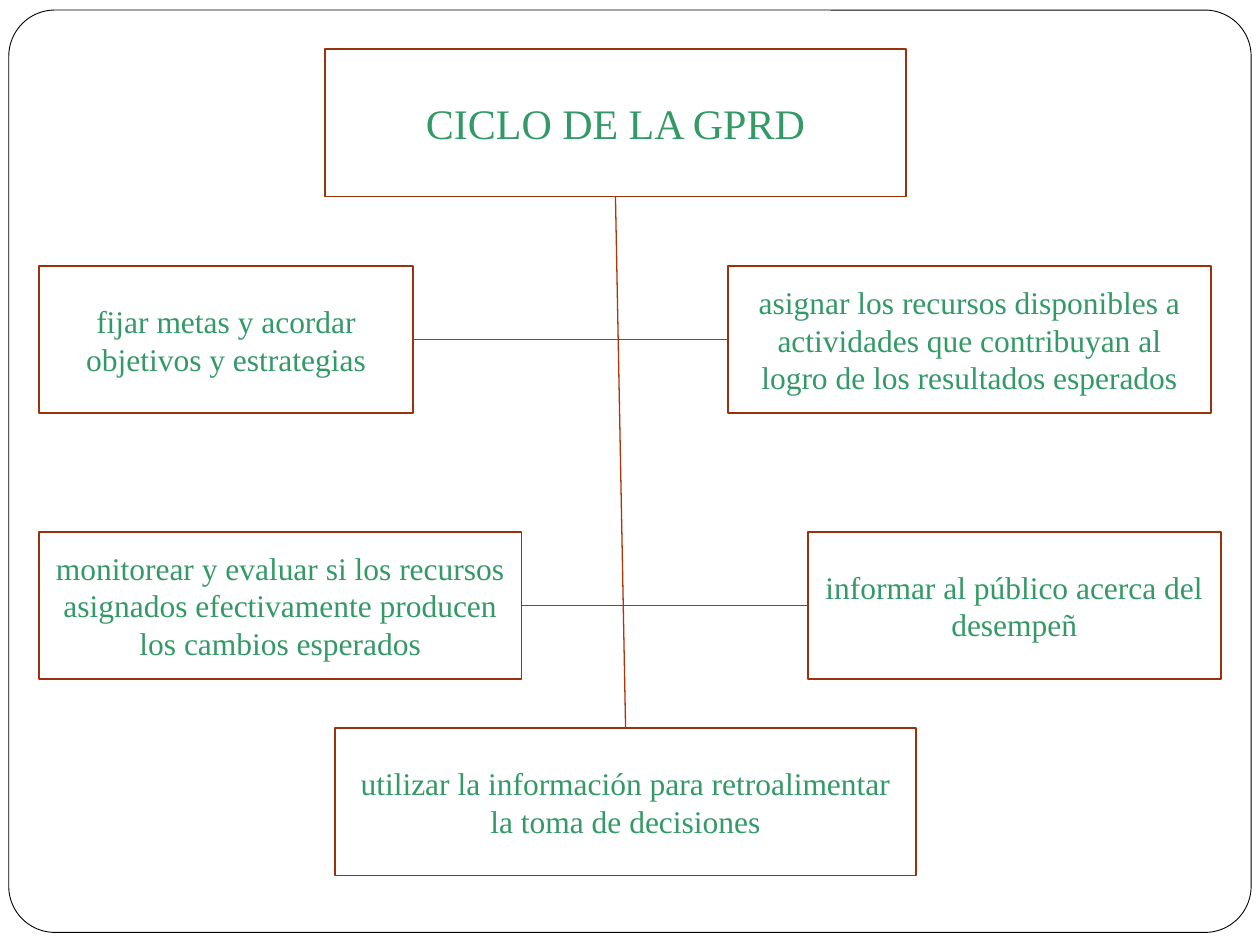
from dataclasses import dataclass

from pptx import Presentation
from pptx.dml.color import RGBColor
from pptx.enum.shapes import MSO_CONNECTOR as Connector, MSO_SHAPE as Shape
from pptx.enum.text import MSO_ANCHOR as Anchor, PP_ALIGN as Align
from pptx.oxml.xmlchemy import OxmlElement
from pptx.util import Pt


@dataclass(frozen=True)
class Theme:
    """Colours, type sizes and line widths of the deck."""
    font: str = "Times New Roman"
    title_size: float = 24
    body_size: float = 18
    text: RGBColor = RGBColor(0x33, 0x99, 0x66)
    paper: RGBColor = RGBColor(0xFF, 0xFF, 0xFF)
    frame: RGBColor = RGBColor(0, 0, 0)
    border: RGBColor = RGBColor(0x9B, 0x32, 0x0E)
    link: RGBColor = RGBColor(0xAF, 0x34, 0x08)
    frame_width: float = 0.5
    border_width: float = 1
    link_width: float = 0.75


THEME = Theme()
STEP_HEIGHT = 84.24
UPPER_OFFSET, LOWER_OFFSET = 123.84, 275.76


def add_frame(page, box):
    """Draw the rounded page frame in the given box."""
    frame = page.shapes.add_shape(Shape.ROUNDED_RECTANGLE, *map(Pt, box))
    frame.adjustments[0] = 0.05
    frame.shadow.inherit = False
    frame.fill.solid()
    frame.fill.fore_color.rgb = THEME.paper
    frame.line.color.rgb = THEME.frame
    frame.line.width = Pt(THEME.frame_width)


def add_step(page, box, text, size=THEME.body_size):
    """Draw an outlined step with centred text in the given box."""
    step = page.shapes.add_shape(Shape.RECTANGLE, *map(Pt, box))
    step.shadow.inherit = False
    step.fill.background()
    step.line.color.rgb = THEME.border
    step.line.width = Pt(THEME.border_width)
    frame = step.text_frame
    frame.word_wrap = True
    frame.vertical_anchor = Anchor.MIDDLE
    para = frame.paragraphs[0]
    para.alignment = Align.CENTER
    span = para.add_run()
    span.text = text
    span.font.name = THEME.font
    span.font.size = Pt(size)
    span.font.color.rgb = THEME.text
    return step


def add_link(page, first, first_site, second, second_site):
    """Join two steps at their connection sites with a straight line."""
    link = page.shapes.add_connector(Connector.STRAIGHT, 0, 0, 0, 0)
    link.begin_connect(first, first_site)
    link.end_connect(second, second_site)
    link.line.color.rgb = THEME.link
    link.line.width = Pt(THEME.link_width)
    link._element.spPr.append(OxmlElement("a:effectLst"))


def add_cycle(page, box):
    """Place the title, the five steps and their links in the given box."""
    left, top, width, height = box
    right, bottom = left + width, top + height
    upper, lower = top + UPPER_OFFSET, top + LOWER_OFFSET

    def step(x, y, step_width, text, size=THEME.body_size):
        return add_step(page, (x, y, step_width, STEP_HEIGHT), text, size)

    title = step(left + 163.44, top, 331.92, "CICLO DE LA GPRD", THEME.title_size)
    feedback = step(left + 169.2, bottom - STEP_HEIGHT, 331.92,
                    "utilizar la información para retroalimentar la toma de decisiones")
    report = step(right - 236.16, lower, 236.16, "informar al público acerca del desempeñ")
    monitor = step(left, lower, 275.76,
                   "monitorear y evaluar si los recursos asignados efectivamente "
                   "producen los cambios esperados")
    assign = step(right - 281.52, upper, 275.76,
                  "asignar los recursos disponibles a actividades que contribuyan "
                  "al logro de los resultados esperados")
    goals = step(left, upper, 213.84, "fijar metas y acordar objetivos y estrategias")

    add_link(page, title, 2, feedback, 0)
    for first, second in ((goals, assign), (monitor, report)):
        add_link(page, first, 3, second, 1)


def main():
    """Build the one-slide deck and save it."""
    deck = Presentation()
    deck.slide_width, deck.slide_height = Pt(720), Pt(540)
    page = deck.slides.add_slide(deck.slide_layouts[6])
    add_frame(page, (5.04, 5.76, 709.92, 527.04))
    add_cycle(page, (22.32, 28.08, 675.36, 472.32))
    deck.save("out.pptx")


if __name__ == "__main__":
    main()
